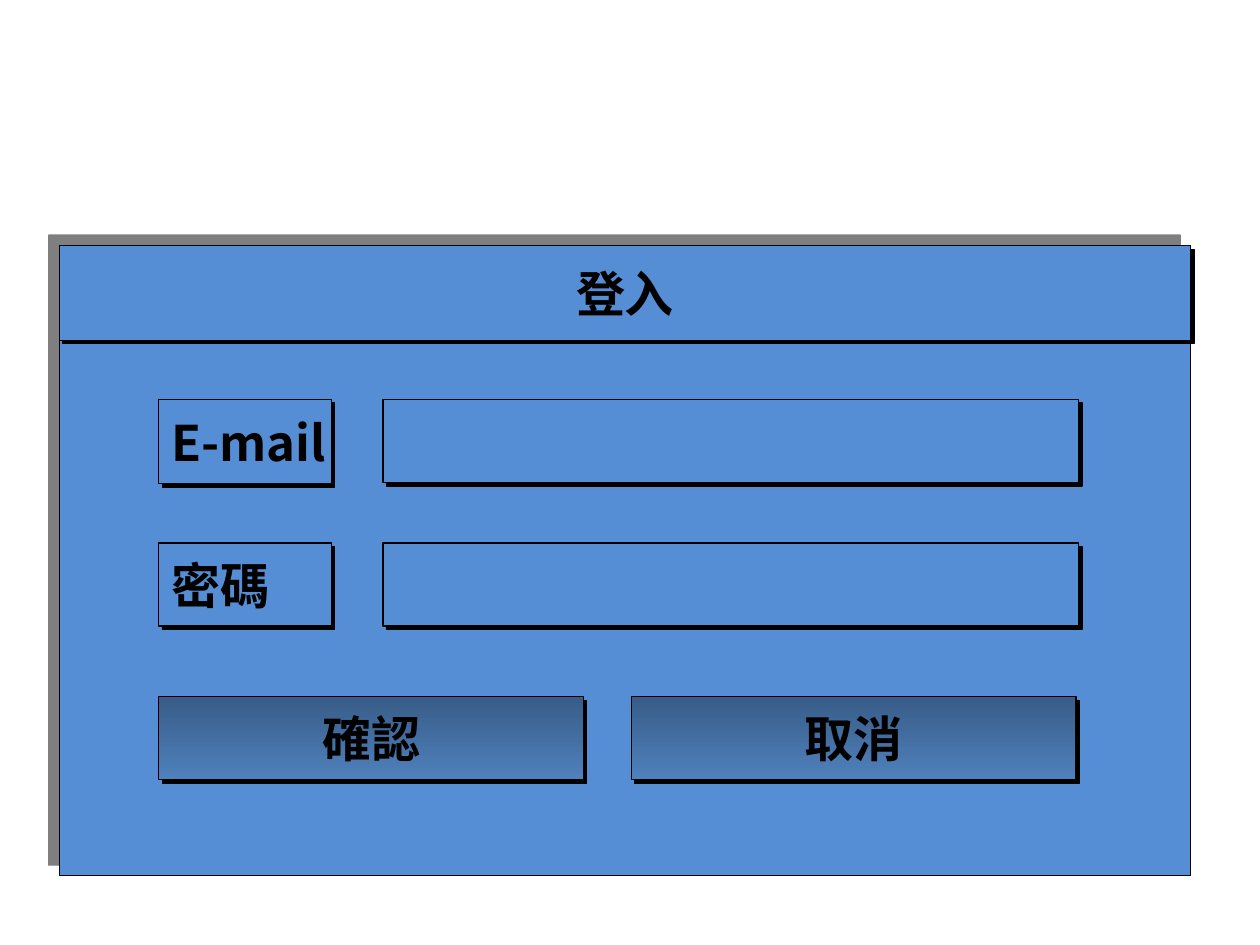
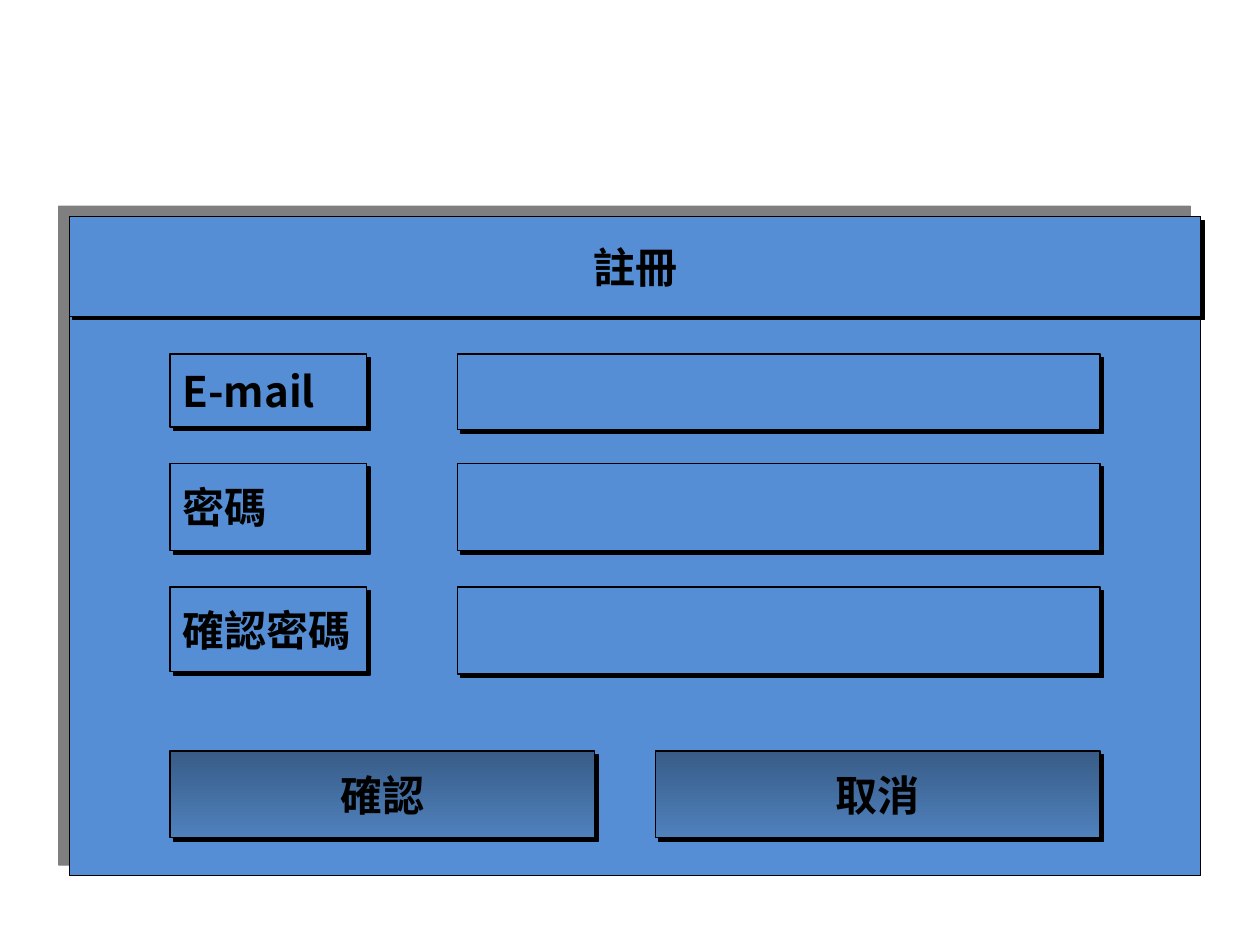
import pptx
import pptx.util
import pptx.dml.color
import pptx.enum.shapes
import pptx.enum.text
import pptx.oxml.ns
from lxml import etree

Inches, Pt = pptx.util.Inches, pptx.util.Pt
RGBColor = pptx.dml.color.RGBColor
ALIGN = pptx.enum.text.PP_ALIGN
qn = pptx.oxml.ns.qn

# Shared look
BLACK = RGBColor(0x00, 0x00, 0x00)
PANEL_BLUE = RGBColor(0x55, 0x8E, 0xD5)
BUTTON_BLUE = RGBColor(0x4F, 0x81, 0xBD)
FONT = "Noto Sans CJK SC"
PANEL_SIZE, PANEL_BOTTOM = 8.98, 6.95
PANEL_SHADOW = (50, 8.5, 225)  # opacity in percent, distance in points, direction
BOX_SHADOW = (100, 2.8, 45)

# Forms: each row is (label, top, label height, input height)
BUTTONS = ("確認", "取消")
BUTTON_WIDTHS = (3.37, 3.53)
FORMS = [
    {"title": "登入", "size": 28, "left": 0.47, "top": 1.95, "title_height": 0.75,
     "label_left": 1.26, "label_width": 1.37, "input_left": 3.04, "input_width": 5.52,
     "rows": [("E-mail", 3.17, 0.67, 0.66), ("密碼", 4.31, 0.66, 0.66)],
     "button_top": 5.53, "button_height": 0.66, "button_gap": 0.38},
    {"title": "註冊", "size": 24, "left": 0.55, "top": 1.72, "title_height": 0.79,
     "label_left": 1.35, "label_width": 1.56, "input_left": 3.63, "input_width": 5.1,
     "rows": [("E-mail", 2.81, 0.58, 0.6), ("密碼", 3.68, 0.69, 0.69),
              ("確認密碼", 4.66, 0.67, 0.69)],
     "button_top": 5.96, "button_height": 0.69, "button_gap": 0.48},
]


def add_shadow(box, opacity, distance, direction):
    box.shadow.inherit = False
    effects = box.element.spPr.find(qn("a:effectLst"))
    shadow = etree.SubElement(effects, qn("a:outerShdw"), dist=str(int(Pt(distance))),
                              dir=str(direction * 60000), algn="ctr", rotWithShape="0")
    color = etree.SubElement(shadow, qn("a:srgbClr"), val=str(BLACK))
    etree.SubElement(color, qn("a:alpha"), val=str(opacity * 1000))


def shade_button(box):
    """Vertical gradient from a dark shade to the plain button blue."""
    box.fill.gradient()
    box.fill.gradient_angle = 270
    for stop in box.fill.gradient_stops:
        stop.color.rgb = BUTTON_BLUE
    dark = next(box.element.spPr.iter(qn("a:srgbClr")))
    etree.SubElement(dark, qn("a:shade"), val="46275")


def add_box(group, left, top, width, height, text="", size=28, align=ALIGN.CENTER,
            shadow=BOX_SHADOW):
    box = group.shapes.add_shape(pptx.enum.shapes.MSO_SHAPE.RECTANGLE, Inches(left),
                                 Inches(top), Inches(width), Inches(height))
    box.fill.solid()
    box.fill.fore_color.rgb = PANEL_BLUE
    box.line.color.rgb = BLACK
    box.line.width = Pt(0.75)
    add_shadow(box, *shadow)
    if text:
        frame = box.text_frame
        frame.text = text
        frame.word_wrap = False
        frame.vertical_anchor = pptx.enum.text.MSO_ANCHOR.MIDDLE
        para = frame.paragraphs[0]
        para.alignment = align
        span = para.runs[0]
        span.font.size = Pt(size)
        span.font.bold = True
        span.font.name = FONT
        span.font.color.rgb = BLACK
        etree.SubElement(span.font._element, qn("a:ea"), typeface=FONT)
    return box


def add_form(page, form):
    group = page.shapes.add_group_shape()
    left, top, size = form["left"], form["top"], form["size"]

    # Panel and title bar
    add_box(group, left, top, PANEL_SIZE, PANEL_BOTTOM - top, shadow=PANEL_SHADOW)
    add_box(group, left, top, PANEL_SIZE, form["title_height"], form["title"], size)

    # Labels and input fields
    for label, row_top, label_height, input_height in form["rows"]:
        add_box(group, form["label_left"], row_top, form["label_width"], label_height,
                label, size, ALIGN.LEFT)
        add_box(group, form["input_left"], row_top, form["input_width"], input_height)

    # Buttons
    button_left = form["label_left"]
    for text, width in zip(BUTTONS, BUTTON_WIDTHS):
        shade_button(add_box(group, button_left, form["button_top"], width,
                             form["button_height"], text, size))
        button_left += width + form["button_gap"]


deck = pptx.Presentation()
deck.slide_width, deck.slide_height = Inches(10), Inches(7.5)
for form in FORMS:
    add_form(deck.slides.add_slide(deck.slide_layouts[6]), form)
deck.save("out.pptx")
